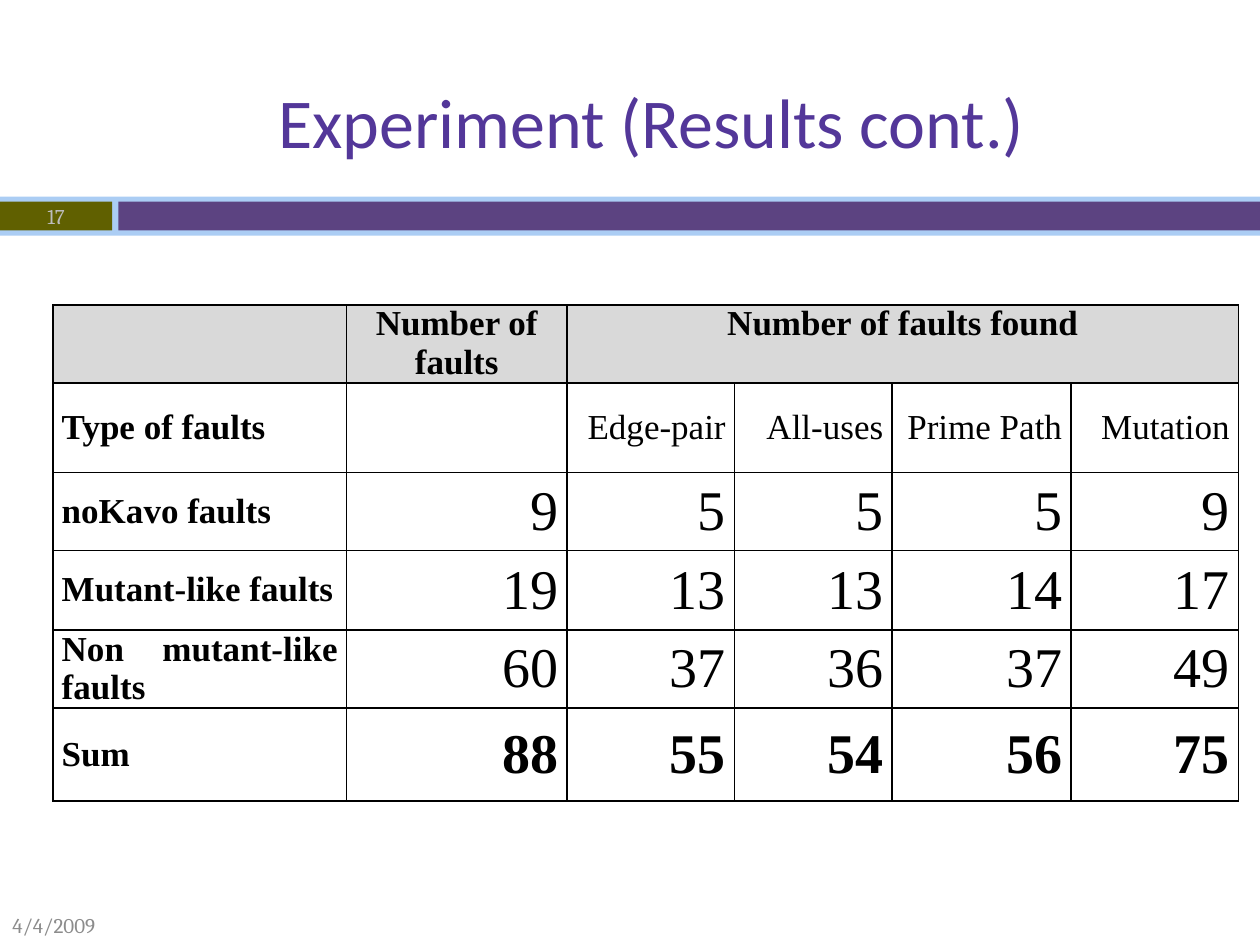
from dataclasses import dataclass

from lxml import etree
from pptx import Presentation
from pptx.dml.color import RGBColor
from pptx.enum.shapes import MSO_SHAPE
from pptx.enum.text import MSO_ANCHOR, PP_ALIGN
from pptx.oxml.ns import qn
from pptx.util import Inches, Pt

RECTANGLE = MSO_SHAPE.RECTANGLE
TOP, MIDDLE = MSO_ANCHOR.TOP, MSO_ANCHOR.MIDDLE
LEFT, CENTER = PP_ALIGN.LEFT, PP_ALIGN.CENTER
RIGHT, JUSTIFY = PP_ALIGN.RIGHT, PP_ALIGN.JUSTIFY
TITLE_ONLY = 5


@dataclass(frozen=True)
class Theme:
    """Colours, fonts and type sizes of the slide."""
    title: str = "533799"
    band: str = "ABCDF4"
    number_box: str = "606000"
    bar: str = "5C4381"
    date: str = "8C8C8C"
    number: str = "BDBDBD"
    ink: str = "000000"
    header_fill: str = "D9D9D9"
    body_fill: str = "FFFFFF"
    title_font: str = "Calibri"
    footer_font: str = "Cambria"
    table_font: str = "Times New Roman"
    title_size: int = 40
    footer_size: int = 12
    label_size: int = 20
    label_leading: int = 22
    value_size: int = 32


THEME = Theme()
COLUMN_WIDTHS = [2.33, 1.75, 1.33, 1.25, 1.42, 1.33]
ROW_HEIGHTS = [0.62, 0.71, 0.62, 0.63, 0.62, 0.74]
RESULTS = [
    ["", "Number of faults", "Number of faults found", "", "", ""],
    ["Type of faults", "", "Edge-pair", "All-uses", "Prime Path", "Mutation"],
    ["noKavo faults", 9, 5, 5, 5, 9],
    ["Mutant-like faults", 19, 13, 13, 14, 17],
    ["Non mutant-like faults", 60, 37, 36, 37, 49],
    ["Sum", 88, 55, 54, 56, 75],
]


def write(frame, text, *, font, size, color, bold=False, align=LEFT,
          anchor=MIDDLE, leading=None):
    """Put one formatted paragraph in a text frame."""
    frame.word_wrap = True
    frame.vertical_anchor = anchor
    paragraph = frame.paragraphs[0]
    paragraph.alignment = align
    if leading:
        paragraph.line_spacing = Pt(leading)
    run = paragraph.add_run()
    run.text = text
    run.font.name = font
    run.font.size = Pt(size)
    run.font.bold = bold
    run.font.color.rgb = RGBColor.from_string(color)


def place(shape, box):
    """Move and size a shape to a box in inches."""
    shape.left, shape.top, shape.width, shape.height = map(Inches, box)


def add_block(slide, box, color):
    """Add a plain filled rectangle."""
    block = slide.shapes.add_shape(RECTANGLE, *map(Inches, box))
    block.shadow.inherit = False
    block.fill.solid()
    block.fill.fore_color.rgb = RGBColor.from_string(color)
    block.line.fill.background()


def add_label(slide, box, text, color, align=LEFT):
    """Add a small footer-style text."""
    label = slide.shapes.add_textbox(*map(Inches, box))
    write(label.text_frame, text, font=THEME.footer_font, size=THEME.footer_size,
          color=color, align=align)


def add_title(slide, text):
    """Fill the title placeholder."""
    place(slide.shapes.title, (0.67, 0.33, 9, 1.25))
    write(slide.shapes.title.text_frame, text, font=THEME.title_font,
          size=THEME.title_size, color=THEME.title, align=CENTER)


def set_borders(cell):
    """Draw a thin line on all four sides of a cell."""
    properties = cell._tc.get_or_add_tcPr()
    for position, side in enumerate(("a:lnL", "a:lnR", "a:lnT", "a:lnB")):
        line = etree.Element(qn(side), w=str(Pt(1)))
        fill = etree.SubElement(line, qn("a:solidFill"))
        etree.SubElement(fill, qn("a:srgbClr"), val=THEME.ink)
        properties.insert(position, line)


def format_cell(cell, value, row, column):
    """Style a results cell by its row and column, and write its value."""
    header = row == 0
    is_value = isinstance(value, int)
    cell.fill.solid()
    cell.fill.fore_color.rgb = RGBColor.from_string(
        THEME.header_fill if header else THEME.body_fill)
    set_borders(cell)
    cell.margin_left = cell.margin_right = Inches(0.07)
    cell.margin_top = cell.margin_bottom = 0
    cell.vertical_anchor = TOP if header else MIDDLE
    if value == "":
        return
    align = CENTER if header else JUSTIFY if column == 0 else RIGHT
    write(cell.text_frame, str(value), font=THEME.table_font,
          size=THEME.value_size if is_value else THEME.label_size,
          leading=None if is_value else THEME.label_leading,
          color=THEME.ink, align=align, anchor=cell.vertical_anchor,
          bold=header or column == 0 or row == len(RESULTS) - 1)


def add_results(slide):
    """Add the table of faults found by each criterion."""
    table = slide.shapes.add_table(
        len(ROW_HEIGHTS), len(COLUMN_WIDTHS), Inches(0.42), Inches(2.42),
        Inches(sum(COLUMN_WIDTHS)), Inches(sum(ROW_HEIGHTS))).table
    table.first_row = table.horz_banding = False
    for column, width in zip(table.columns, COLUMN_WIDTHS):
        column.width = Inches(width)
    for row, height in zip(table.rows, ROW_HEIGHTS):
        row.height = Inches(height)
    for row, values in enumerate(RESULTS):
        for column, value in enumerate(values):
            format_cell(table.cell(row, column), value, row, column)
    table.cell(0, 2).merge(table.cell(0, 5))


def main():
    """Build and save the slide."""
    deck = Presentation()
    deck.slide_width, deck.slide_height = Inches(10), Inches(7.5)
    slide = deck.slides.add_slide(deck.slide_layouts[TITLE_ONLY])
    add_block(slide, (0, 1.56, 10, 0.31), THEME.band)
    add_block(slide, (0, 1.6, 0.89, 0.23), THEME.number_box)
    add_block(slide, (0.94, 1.6, 9.06, 0.23), THEME.bar)
    add_label(slide, (0, 7.19, 1.97, 0.31), "4/4/2009", THEME.date)
    add_label(slide, (0, 1.56, 0.89, 0.31), "17", THEME.number, CENTER)
    add_results(slide)
    add_title(slide, "Experiment (Results cont.)")
    deck.save("out.pptx")


main()
